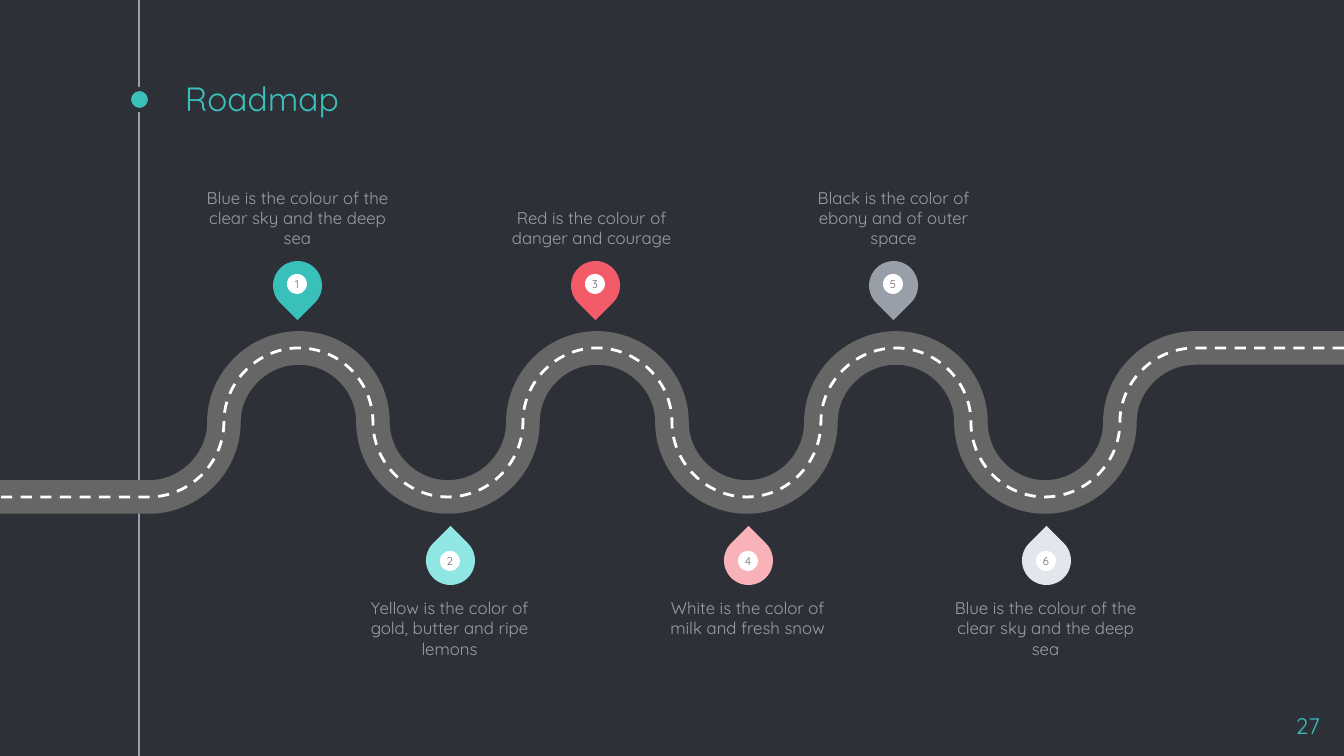
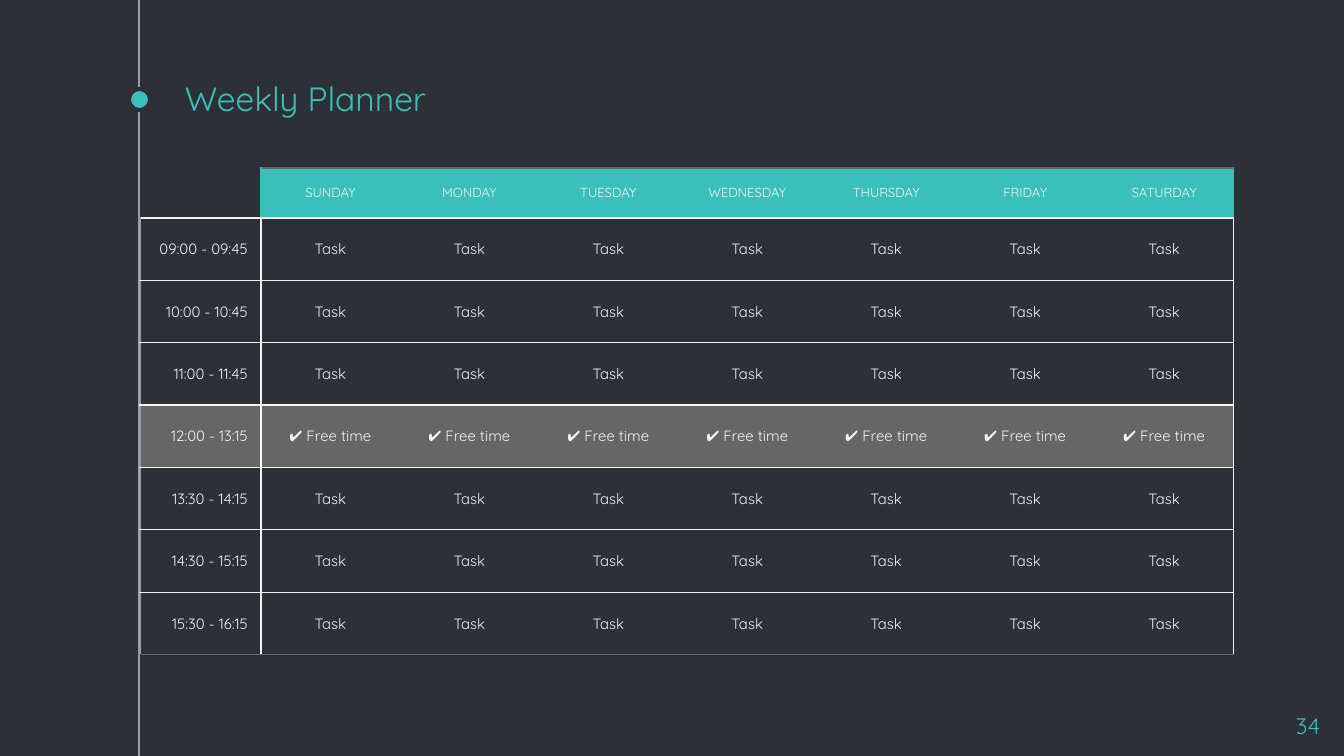
from lxml.etree import SubElement
from pptx import Presentation
from pptx.dml.color import RGBColor
from pptx.enum.dml import MSO_LINE
from pptx.enum.shapes import MSO_CONNECTOR, MSO_SHAPE
from pptx.enum.text import MSO_ANCHOR, PP_ALIGN
from pptx.oxml.ns import qn
from pptx.util import Emu, Pt

PX = 914400 / 134.4
WIDTH, HEIGHT = 1344, 756
FONT = "Quicksand"
COLORS = {
    "background": "2E3037",
    "teal": "39C0BA",
    "aqua": "90E6E2",
    "red": "F35B69",
    "pink": "FAB2B9",
    "grey": "999FA9",
    "mist": "E2E7EE",
    "asphalt": "666666",
    "pale": "F3F3F3",
    "white": "FFFFFF",
}

AXIS_X = 139
INSET = 13

ROAD_TOP, ROAD_HEIGHT = 348, 149
BENDS = 7

PIN, DISC = 49, 20
CAPTION_W, CAPTION_H = 189, 78
PIN_STEP = 298
# Number, colour, caption centre, caption
UPPER_STOPS = [
    ("1", "teal", 297, "Blue is the colour of the clear sky and the deep sea"),
    ("3", "red", 591, "Red is the colour of danger and courage"),
    ("5", "grey", 893, "Black is the color of ebony and of outer space"),
]
LOWER_STOPS = [
    ("2", "aqua", 449, "Yellow is the color of gold, butter and ripe lemons"),
    ("4", "pink", 747, "White is the color of milk and fresh snow"),
    ("6", "mist", 1045, "Blue is the colour of the clear sky and the deep sea"),
]

DAYS = ["SUNDAY", "MONDAY", "TUESDAY", "WEDNESDAY", "THURSDAY", "FRIDAY", "SATURDAY"]
HOURS = [
    "09:00 - 09:45", "10:00 - 10:45", "11:00 - 11:45", "12:00 - 13:15",
    "13:30 - 14:15", "14:30 - 15:15", "15:30 - 16:15",
]
FREE_HOURS = "12:00 - 13:15"
HOUR_W, DAY_W, HEADER_H, BODY_H = 121, 139, 50, 437
PLAIN_TABLE_STYLE = "{2D5ABB26-0587-4C30-8999-92F81FD0307C}"


def px(n):
    return Emu(round(n * PX))


def rgb(name):
    return RGBColor.from_string(COLORS[name])


def write(tf, text, size, color, align=PP_ALIGN.LEFT):
    p = tf.paragraphs[0]
    p.alignment = align
    r = p.add_run()
    r.text = text
    r.font.name = FONT
    r.font.size = Pt(size)
    r.font.color.rgb = rgb(color)


def set_insets(holder, inset):
    holder.margin_left = holder.margin_right = px(inset)
    holder.margin_top = holder.margin_bottom = px(inset)


def add_text(s, box, text, size, color, align=PP_ALIGN.LEFT,
             anchor=MSO_ANCHOR.TOP, inset=0):
    tf = s.shapes.add_textbox(*map(px, box)).text_frame
    tf.word_wrap = True
    tf.vertical_anchor = anchor
    set_insets(tf, inset)
    write(tf, text, size, color, align)


def add_solid(shapes, kind, box, fill):
    sp = shapes.add_shape(kind, *map(px, box))
    sp.shadow.inherit = False
    sp.fill.solid()
    sp.fill.fore_color.rgb = rgb(fill)
    sp.line.fill.background()
    return sp


def add_base_slide(prs, title, number):
    """Add a slide with the shared background, axis, title and page number."""
    s = prs.slides.add_slide(prs.slide_layouts[6])
    s.background.fill.solid()
    s.background.fill.fore_color.rgb = rgb("background")

    axis = s.shapes.add_connector(
        MSO_CONNECTOR.STRAIGHT, px(AXIS_X), 0, px(AXIS_X), px(HEIGHT))
    axis.line.color.rgb = rgb("grey")
    axis.line.width = Pt(0.75)
    SubElement(axis._element.spPr, qn("a:effectLst"))

    dot = add_solid(s.shapes, MSO_SHAPE.OVAL, (AXIS_X - 10, 89, 21, 21), "teal")
    dot.line.color.rgb = rgb("background")
    dot.line.width = Pt(2.25)

    add_text(s, (172, 80, 1008, 51), title, 18, "teal",
             anchor=MSO_ANCHOR.BOTTOM, inset=INSET)
    add_text(s, (1252, 699, 81, 46), number, 12, "teal", PP_ALIGN.RIGHT, inset=INSET)
    return s


def road_curves():
    """Yield the three control points of each quarter bend, right to left."""
    step = WIDTH / (BENDS + 2)
    rx, ry = step / 2, ROAD_HEIGHT / 2
    k = 0.55
    for i in range(BENDS):
        x = WIDTH - step * (i + 1)
        start, end = (0, ROAD_HEIGHT) if i % 2 == 0 else (ROAD_HEIGHT, 0)
        turn = ry if end > start else -ry
        yield ((x - k * rx, start), (x - rx, start + (1 - k) * turn), (x - rx, ry))
        yield ((x - rx, ry + k * turn), (x - step + k * rx, end), (x - step, end))


def add_road(s, color, width, dash=None):
    first_bend = round(WIDTH * (BENDS + 1) / (BENDS + 2))
    bottom = ROAD_TOP + ROAD_HEIGHT
    builder = s.shapes.build_freeform(WIDTH, ROAD_TOP, scale=PX)
    builder.add_line_segments([(first_bend, ROAD_TOP), (0, bottom)], close=False)
    sp = builder.convert_to_shape()
    sp.shadow.inherit = False
    sp.fill.background()
    sp.line.color.rgb = rgb(color)
    sp.line.width = Pt(width)
    if dash:
        sp.line.dash_style = dash

    outline = sp._element.spPr.find(".//" + qn("a:path"))
    final_line = outline[-1]
    for points in road_curves():
        curve = SubElement(outline, qn("a:cubicBezTo"))
        for x, y in points:
            SubElement(curve, qn("a:pt"), x=str(round(x)), y=str(round(y)))
        final_line.addprevious(curve)


def add_pin(s, cx, cy, disc_cy, rotation, color, number):
    group = s.shapes.add_group_shape()
    drop = add_solid(group.shapes, MSO_SHAPE.TEAR,
                     (cx - PIN // 2, cy - PIN // 2, PIN, PIN), color)
    drop.rotation = rotation
    disc = add_solid(group.shapes, MSO_SHAPE.OVAL,
                     (cx - DISC // 2, disc_cy - DISC // 2, DISC, DISC), "white")
    tf = disc.text_frame
    set_insets(tf, 0)
    tf.vertical_anchor = MSO_ANCHOR.MIDDLE
    write(tf, number, 6, "asphalt", PP_ALIGN.CENTER)


def add_stops(s, stops, first_x, cy, disc_cy, rotation, caption_top, anchor):
    for i, (number, color, caption_cx, caption) in enumerate(stops):
        add_pin(s, first_x + i * PIN_STEP, cy, disc_cy, rotation, color, number)
        add_text(s, (caption_cx - CAPTION_W // 2, caption_top, CAPTION_W, CAPTION_H),
                 caption, 9, "grey", PP_ALIGN.CENTER, anchor)


def fill_cell(cell, text, size, align, fill, borders):
    """Set text, borders (side letter to colour name) and fill of a cell."""
    cell.vertical_anchor = MSO_ANCHOR.MIDDLE
    set_insets(cell, INSET)
    if text:
        write(cell.text_frame, text, size, "pale", align)
    else:
        p = cell.text_frame.paragraphs[0]
        SubElement(p._p, qn("a:endParaRPr"), sz=str(size * 100))
    tc_pr = cell._tc.get_or_add_tcPr()
    for side in "LRTB":
        ln = SubElement(tc_pr, qn("a:ln" + side), w=str(Pt(0.75)))
        if side in borders:
            solid = SubElement(ln, qn("a:solidFill"))
            SubElement(solid, qn("a:srgbClr"), val=COLORS[borders[side]])
        else:
            SubElement(ln, qn("a:noFill"))
    if fill:
        cell.fill.solid()
        cell.fill.fore_color.rgb = rgb(fill)
    else:
        cell.fill.background()


def add_planner(s):
    rows, cols = len(HOURS) + 1, len(DAYS) + 1
    frame = s.shapes.add_table(
        rows, cols, px(AXIS_X + 1), px(168),
        px(HOUR_W + DAY_W * len(DAYS)), px(HEADER_H + BODY_H))
    table = frame.table
    table.first_row = table.horz_banding = False
    table._tbl.tblPr.find(qn("a:tableStyleId")).text = PLAIN_TABLE_STYLE
    for c, column in enumerate(table.columns):
        column.width = px(DAY_W if c else HOUR_W)
    for r, row in enumerate(table.rows):
        row.height = px(BODY_H / len(HOURS) if r else HEADER_H)

    fill_cell(table.cell(0, 0), "", 7, PP_ALIGN.CENTER, None,
              {"R": "teal", "B": "pale"})
    for c, day in enumerate(DAYS, 1):
        borders = {"T": "asphalt", "B": "pale"}
        if c == 1:
            borders["L"] = "teal"
        if c == cols - 1:
            borders["R"] = "teal"
        fill_cell(table.cell(0, c), day, 7, PP_ALIGN.CENTER, "teal", borders)

    for r, hours in enumerate(HOURS, 1):
        free = hours == FREE_HOURS
        fill = "asphalt" if free else None
        divider = "white" if free else "pale"
        edges = {"T": "pale", "B": "asphalt" if r == rows - 1 else "pale"}
        fill_cell(table.cell(r, 0), hours, 8, PP_ALIGN.RIGHT, fill,
                  {**edges, "L": "grey", "R": divider})
        for c in range(1, cols):
            borders = dict(edges)
            if c == 1:
                borders["L"] = divider
            if c == cols - 1:
                borders["R"] = "pale"
            fill_cell(table.cell(r, c), "✔ Free time" if free else "Task", 8,
                      PP_ALIGN.CENTER, fill, borders)


def main():
    prs = Presentation()
    prs.slide_width, prs.slide_height = px(WIDTH), px(HEIGHT)

    s = add_base_slide(prs, "Roadmap", "27")
    add_road(s, "asphalt", 18)
    add_road(s, "white", 1.5, MSO_LINE.DASH)
    add_stops(s, UPPER_STOPS, 297, 285, 284, 135, 170, MSO_ANCHOR.BOTTOM)
    add_stops(s, LOWER_STOPS, 450, 560, 561, 315, 598, MSO_ANCHOR.TOP)

    s = add_base_slide(prs, "Weekly Planner", "34")
    add_planner(s)

    prs.save("out.pptx")


if __name__ == "__main__":
    main()
